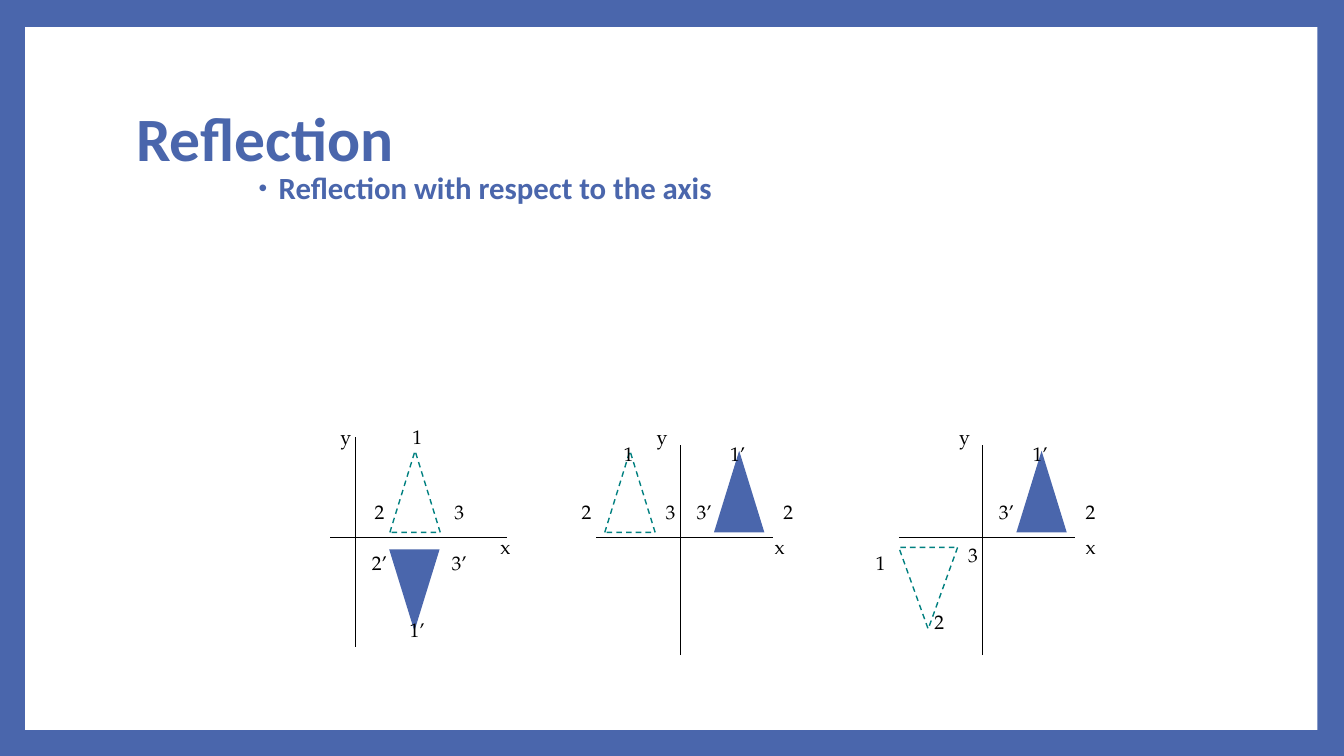
from lxml import etree
from pptx import Presentation
from pptx import util as u
from pptx.dml.color import RGBColor
from pptx.enum import dml, shapes, text
from pptx.oxml.ns import qn

COLORS = {"blue": "4A66AC", "white": "FFFFFF", "black": "000000", "teal": "008080"}
ORIGIN_Y = 384
LABEL_SIZE = (34, 24.5)
TRIANGLE_HEIGHT = 58.3

FIGURES = [
    {
        "origin": 254, "x_axis": (-18, 108), "y_axis": (-72, 78),
        "before": (24.5, -62, 36, 0), "after": (24, 8.4, 36, 180),
        "labels": [("x", 90, -6), ("y", -24, -84.5),
                   ("1", 27, -84.5), ("3", 57, -30.5), ("2", 0, -30.5),
                   ("1’", 27, 53.8), ("3’", 57, 5.5), ("2’", 0, 5.5)],
    },
    {
        "origin": 486, "x_axis": (-60, 66), "y_axis": (-66, 84),
        "before": (-54, -62, 36, 0), "after": (24, -62, 36, 0),
        "labels": [("x", 54, -6), ("y", -30, -84.5),
                   ("1", -54, -72), ("3", -24, -30.5), ("2", -84, -30.5),
                   ("1’", 24, -72), ("3’", 0, -30.5), ("2", 60, -30.5)],
    },
    {
        "origin": 702, "x_axis": (-60, 66), "y_axis": (-66, 84),
        "before": (-60, 7, 42, 180), "after": (24, -62, 36, 0),
        "labels": [("x", 60, -6), ("y", -30, -84.5),
                   ("1", -90, 5.5), ("3", -24, 0), ("2", -48, 48),
                   ("1’", 24, -72), ("3’", 0, -30.5), ("2", 60, -30.5)],
    },
]


def color(name):
    return RGBColor.from_string(COLORS[name])


def points(*lengths):
    return [u.Pt(length) for length in lengths]


def write(box, words, size, font="Calibri", ink="blue", bold=False,
          align=text.PP_ALIGN.LEFT, anchor=text.MSO_ANCHOR.MIDDLE, spacing=None):
    frame = box.text_frame
    frame.word_wrap = True
    frame.auto_size = text.MSO_AUTO_SIZE.NONE
    frame.vertical_anchor = anchor
    para = frame.paragraphs[0]
    para.alignment = align
    para.line_spacing = spacing
    span = para.add_run()
    span.text = words
    span.font.name = font
    span.font.size = u.Pt(size)
    span.font.bold = bold
    span.font.color.rgb = color(ink)
    return para


def add_bullet(para):
    properties = para._p.get_or_add_pPr()
    properties.set("marL", str(u.Pt(18)))
    properties.set("indent", str(-u.Pt(14.4)))
    bullet_color = etree.SubElement(properties, qn("a:buClr"))
    etree.SubElement(bullet_color, qn("a:srgbClr"), val=COLORS["blue"])
    etree.SubElement(properties, qn("a:buSzPct"), val="80000")
    etree.SubElement(properties, qn("a:buFont"), typeface="Arial")
    etree.SubElement(properties, qn("a:buChar"), char="•")


def add_panel(page):
    panel = page.shapes.add_shape(shapes.MSO_SHAPE.RECTANGLE, *points(18, 19.4, 923, 502))
    panel.shadow.inherit = False
    panel.fill.solid()
    panel.fill.fore_color.rgb = color("white")
    panel.line.fill.background()
    page.shapes._spTree.insert(2, panel._element)


def add_axis(page, x1, y1, x2, y2):
    axis = page.shapes.add_connector(
        shapes.MSO_CONNECTOR.STRAIGHT, *points(x1, y1, x2, y2))
    axis.line.color.rgb = color("black")
    axis.line.width = u.Pt(1)
    etree.SubElement(axis._element.spPr, qn("a:effectLst"))


def add_triangle(page, left, top, width, rotation, dashed):
    triangle = page.shapes.add_shape(
        shapes.MSO_SHAPE.ISOSCELES_TRIANGLE, *points(left, top, width, TRIANGLE_HEIGHT))
    triangle.shadow.inherit = False
    triangle.rotation = rotation
    if dashed:
        triangle.fill.background()
        triangle.line.color.rgb = color("teal")
        triangle.line.width = u.Pt(1)
        triangle.line.dash_style = dml.MSO_LINE.DASH
    else:
        triangle.fill.solid()
        triangle.fill.fore_color.rgb = color("blue")
        triangle.line.fill.background()


def add_figure(page, figure):
    origin = figure["origin"]
    left, right = figure["x_axis"]
    top, bottom = figure["y_axis"]
    add_axis(page, origin + left, ORIGIN_Y, origin + right, ORIGIN_Y)
    add_axis(page, origin, ORIGIN_Y + bottom, origin, ORIGIN_Y + top)
    for state in ("before", "after"):
        x, y, width, rotation = figure[state]
        add_triangle(page, origin + x, ORIGIN_Y + y, width, rotation, state == "before")
    for words, x, y in figure["labels"]:
        box = page.shapes.add_textbox(*points(origin + x, ORIGIN_Y + y, *LABEL_SIZE))
        write(box, words, 14, font="TeX Gyre Pagella", ink="black",
              align=text.PP_ALIGN.CENTER)


def main():
    deck = Presentation()
    deck.slide_width, deck.slide_height = points(960, 540)
    page = deck.slides.add_slide(deck.slide_layouts[5])
    page.background.fill.solid()
    page.background.fill.fore_color.rgb = color("blue")
    add_panel(page)

    title = page.shapes.title
    title.left, title.top, title.width, title.height = points(90, 48, 777.6, 106.6)
    write(title, "Reflection", 44, bold=True, spacing=0.9)

    body = page.shapes.add_textbox(*points(174, 120, 630, 372))
    para = write(body, "Reflection with respect to the axis", 22, bold=True,
                 anchor=text.MSO_ANCHOR.TOP, spacing=0.9)
    add_bullet(para)

    for figure in FIGURES:
        add_figure(page, figure)
    deck.save("out.pptx")


if __name__ == "__main__":
    main()
